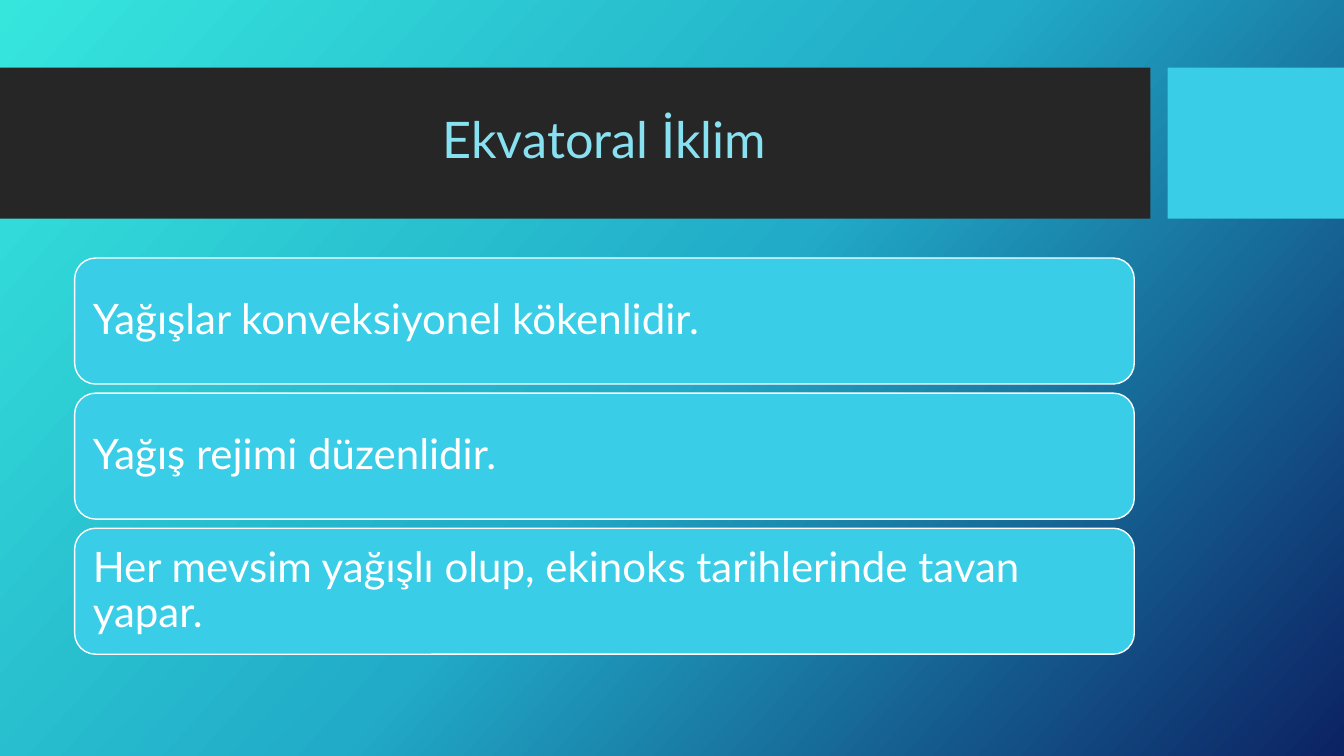
"""Build the equatorial climate slide."""
import copy

import pptx
import pptx.dml.color
import pptx.enum.shapes
import pptx.enum.text
import pptx.util

COLOURS = {
    "turquoise": "36E6DD", "teal": "21ABC8", "navy": "0C2263",
    "band": "262626", "cyan": "39CDE7", "title": "88E1F1", "white": "FFFFFF",
}
FONT = "Lato"
WIDTH, HEIGHT = 13.33, 7.5
LEFT, COLUMN = 0.74, 10.51
BAND_TOP, BAND_HEIGHT = 0.67, 1.5
BAND_WIDTH, TAB_LEFT = 11.41, 11.58
CARD_TOP, CARD_HEIGHT, CARD_PITCH = 2.56, 1.25, 1.34
FACTS = (
    "Yağışlar konveksiyonel kökenlidir.",
    "Yağış rejimi düzenlidir.",
    "Her mevsim yağışlı olup, ekinoks tarihlerinde tavan yapar.",
)
SHAPES = pptx.enum.shapes.MSO_SHAPE
ALIGN = pptx.enum.text.PP_ALIGN


def colour(name):
    return pptx.dml.color.RGBColor.from_string(COLOURS[name])


def inches(*lengths):
    return [pptx.util.Inches(length) for length in lengths]


def paint_background(page, names, angle):
    fill = page.background.fill
    fill.gradient()
    fill.gradient_angle = 360 - angle
    stop_list = page.element.xpath(".//a:gsLst")[0]
    while len(stop_list) < len(names):
        stop_list.append(copy.deepcopy(stop_list[-1]))
    for index, (stop, name) in enumerate(zip(fill.gradient_stops, names)):
        stop.position = index / (len(names) - 1)
        stop.color.rgb = colour(name)


def add_panel(page, kind, place, fill, line=None):
    panel = page.shapes.add_shape(kind, *inches(*place))
    panel.shadow.inherit = False
    panel.fill.solid()
    panel.fill.fore_color.rgb = colour(fill)
    if line:
        panel.line.color.rgb = colour(line)
        panel.line.width = pptx.util.Pt(1)
    else:
        panel.line.fill.background()
    return panel


def write_text(box, text, *, size, ink, align, inset):
    frame = box.text_frame
    frame.word_wrap = True
    frame.auto_size = pptx.enum.text.MSO_AUTO_SIZE.NONE
    frame.vertical_anchor = pptx.enum.text.MSO_ANCHOR.MIDDLE
    frame.margin_left = frame.margin_right = pptx.util.Inches(inset)
    frame.margin_top = frame.margin_bottom = pptx.util.Inches(inset)
    para = frame.paragraphs[0]
    para.alignment = align
    para.line_spacing = 0.9
    span = para.add_run()
    span.text = text
    span.font.name = FONT
    span.font.size = pptx.util.Pt(size)
    span.font.color.rgb = colour(ink)


def add_title(page, text):
    title = page.shapes.title
    title.left, title.top, title.width, title.height = inches(LEFT, 0.82, COLUMN, 1.18)
    title.element.getparent().append(title.element)
    write_text(title, text, size=36, ink="title", align=ALIGN.CENTER, inset=0.05)


def add_card(page, row, text):
    place = (LEFT, CARD_TOP + row * CARD_PITCH, COLUMN, CARD_HEIGHT)
    card = add_panel(page, SHAPES.ROUNDED_RECTANGLE, place, "cyan", line="white")
    write_text(card, text, size=30, ink="white", align=ALIGN.LEFT, inset=0.12)


def main():
    deck = pptx.Presentation()
    deck.slide_width, deck.slide_height = inches(WIDTH, HEIGHT)
    page = deck.slides.add_slide(deck.slide_layouts.get_by_name("Title Only"))
    paint_background(page, ("turquoise", "teal", "navy"), angle=42)
    for left, width, fill in ((0, BAND_WIDTH, "band"), (TAB_LEFT, WIDTH - TAB_LEFT, "cyan")):
        add_panel(page, SHAPES.RECTANGLE, (left, BAND_TOP, width, BAND_HEIGHT), fill)
    add_title(page, "Ekvatoral İklim")
    for row, fact in enumerate(FACTS):
        add_card(page, row, fact)
    deck.save("out.pptx")


if __name__ == "__main__":
    main()
